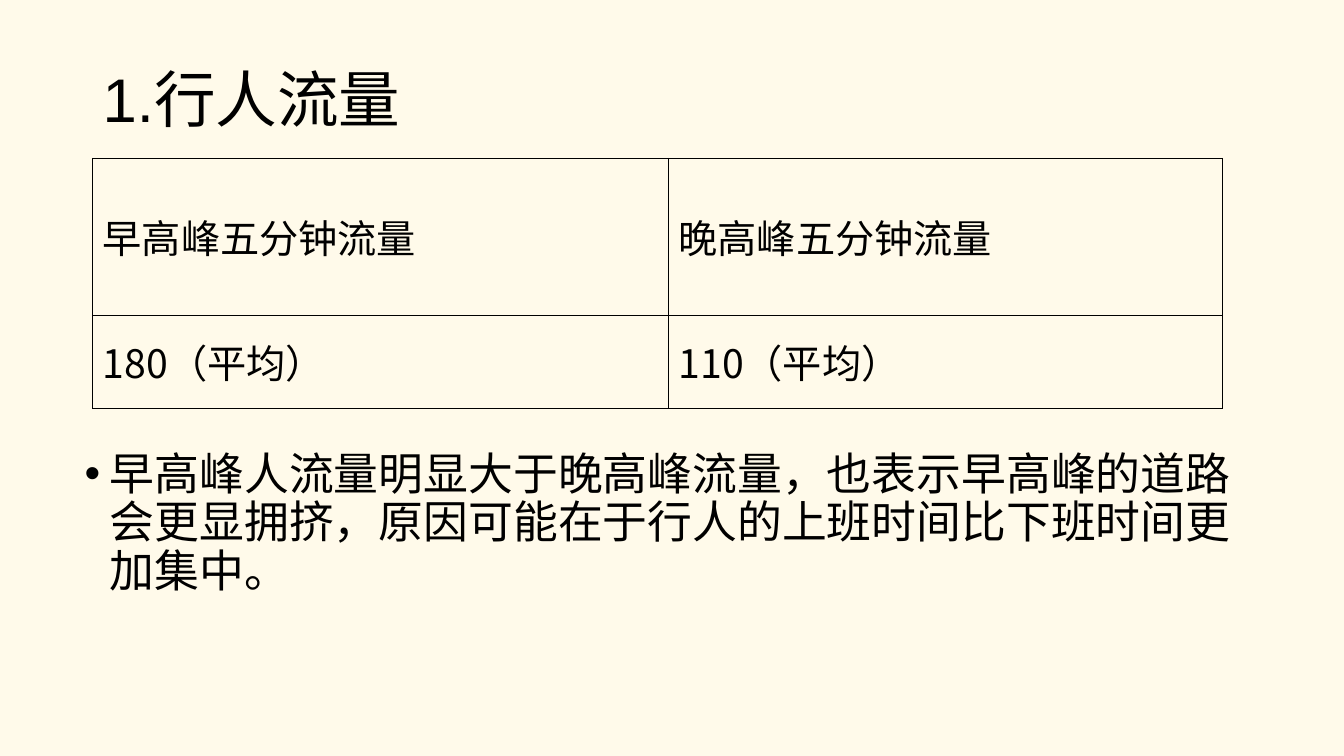
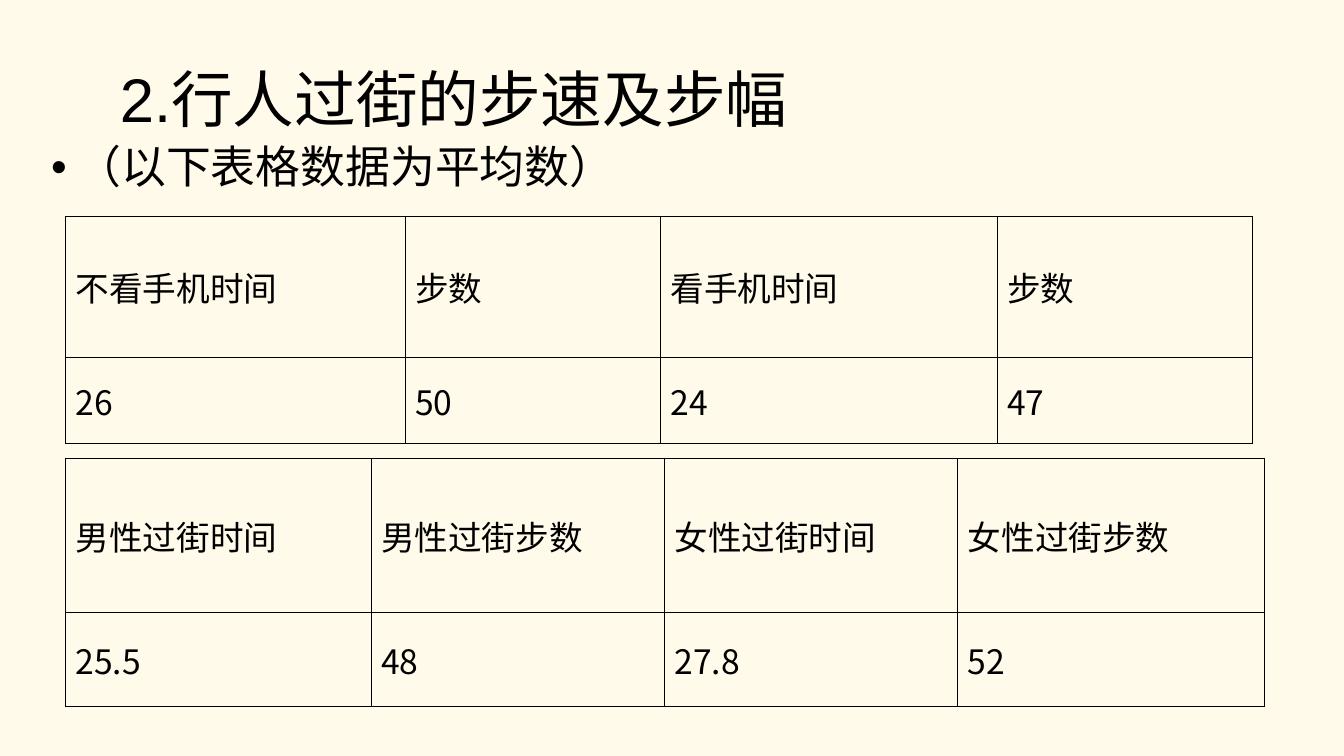
from dataclasses import dataclass

from lxml import etree
from pptx import Presentation
from pptx.dml.color import RGBColor
from pptx.enum.text import MSO_ANCHOR, PP_ALIGN
from pptx.oxml.ns import qn
from pptx.util import Inches, Pt

LEFT = PP_ALIGN.LEFT
TOP, MIDDLE, BOTTOM = MSO_ANCHOR.TOP, MSO_ANCHOR.MIDDLE, MSO_ANCHOR.BOTTOM
BLANK = 6
BORDERS = ("a:lnL", "a:lnR", "a:lnT", "a:lnB")


@dataclass(frozen=True)
class Theme:
    paper: RGBColor = RGBColor(0xFF, 0xFA, 0xEA)
    ink: RGBColor = RGBColor(0, 0, 0)
    latin: str = "Arial"
    cjk: str = "Noto Sans CJK SC"
    title: int = 44
    body: int = 32
    spacing: float = 0.9
    rule: float = 0.75
    indent: float = 0.25


THEME = Theme()


def add_bullet(p):
    pPr = p._p.get_or_add_pPr()
    indent = Inches(THEME.indent)
    pPr.set("marL", str(indent))
    pPr.set("indent", str(-indent))
    etree.SubElement(pPr, qn("a:buFont")).set("typeface", THEME.latin)
    etree.SubElement(pPr, qn("a:buChar")).set("char", "•")


def write(tf, text, size, font=THEME.cjk, spacing=1.0, bullet=False):
    p = tf.paragraphs[0]
    p.alignment = LEFT
    p.line_spacing = spacing
    if bullet:
        add_bullet(p)
    r = p.add_run()
    r.text = text
    r.font.size = Pt(size)
    r.font.name = font
    r.font.color.rgb = THEME.ink
    etree.SubElement(r._r.get_or_add_rPr(), qn("a:ea")).set("typeface", THEME.cjk)


def add_text(slide, box, text, size, anchor=TOP, **fmt):
    tf = slide.shapes.add_textbox(*map(Inches, box)).text_frame
    tf.word_wrap = True
    tf.vertical_anchor = anchor
    write(tf, text, size, spacing=THEME.spacing, **fmt)


def add_title(slide, left, text):
    add_text(slide, (left, 0.4, 12.42 - left, 1), text, THEME.title,
             anchor=BOTTOM, font=THEME.latin)


def add_point(slide, box, text):
    add_text(slide, box, text, THEME.body, bullet=True)


def outline(cell):
    tcPr = cell._tc.get_or_add_tcPr()
    for i, tag in enumerate(BORDERS):
        ln = etree.Element(qn(tag), w=str(Pt(THEME.rule)))
        fill = etree.SubElement(ln, qn("a:solidFill"))
        etree.SubElement(fill, qn("a:srgbClr")).set("val", str(THEME.ink))
        tcPr.insert(i, ln)


def add_grid(slide, origin, cols, heights, rows, size):
    """Ruled table: a header row in the Latin face above one row of values."""
    box = (*origin, sum(cols), sum(heights))
    table = slide.shapes.add_table(len(rows), len(cols), *map(Inches, box)).table
    table.first_row = table.horz_banding = False
    for column, width in zip(table.columns, cols):
        column.width = Inches(width)
    for i, (row, height) in enumerate(zip(rows, heights)):
        table.rows[i].height = Inches(height)
        for j, text in enumerate(row):
            cell = table.cell(i, j)
            cell.fill.background()
            cell.vertical_anchor = MIDDLE
            outline(cell)
            write(cell.text_frame, text, size, font=THEME.cjk if i else THEME.latin)


def new_slide(prs):
    slide = prs.slides.add_slide(prs.slide_layouts[BLANK])
    fill = slide.background.fill
    fill.solid()
    fill.fore_color.rgb = THEME.paper
    return slide


def flow_slide(prs):
    slide = new_slide(prs)
    add_title(slide, 0.92, "1.行人流量")
    add_grid(slide, (0.92, 1.57), (5.71, 5.49), (1.56, 0.92),
             [("早高峰五分钟流量", "晚高峰五分钟流量"),
              ("180（平均）", "110（平均）")], size=28)
    add_point(slide, (0.74, 4.43, 11.68, 1.6),
              "早高峰人流量明显大于晚高峰流量，也表示早高峰的道路会更显拥挤，"
              "原因可能在于行人的上班时间比下班时间更加集中。")


def pace_slide(prs):
    slide = new_slide(prs)
    add_title(slide, 1.09, "2.行人过街的步速及步幅")
    add_point(slide, (0.41, 1.39, 12, 0.6), "（以下表格数据为平均数）")
    add_grid(slide, (0.65, 2.15), (3.37, 2.53, 3.34, 2.53), (1.4, 0.85),
             [("不看手机时间", "步数", "看手机时间", "步数"),
              ("26", "50", "24", "47")], size=24)
    add_grid(slide, (0.65, 4.55), (3.03, 2.91, 2.91, 3.04), (1.53, 0.93),
             [("男性过街时间", "男性过街步数", "女性过街时间", "女性过街步数"),
              ("25.5", "48", "27.8", "52")], size=24)


def main():
    prs = Presentation()
    prs.slide_width, prs.slide_height = Inches(13.33), Inches(7.5)
    flow_slide(prs)
    pace_slide(prs)
    prs.save("out.pptx")


if __name__ == "__main__":
    main()
